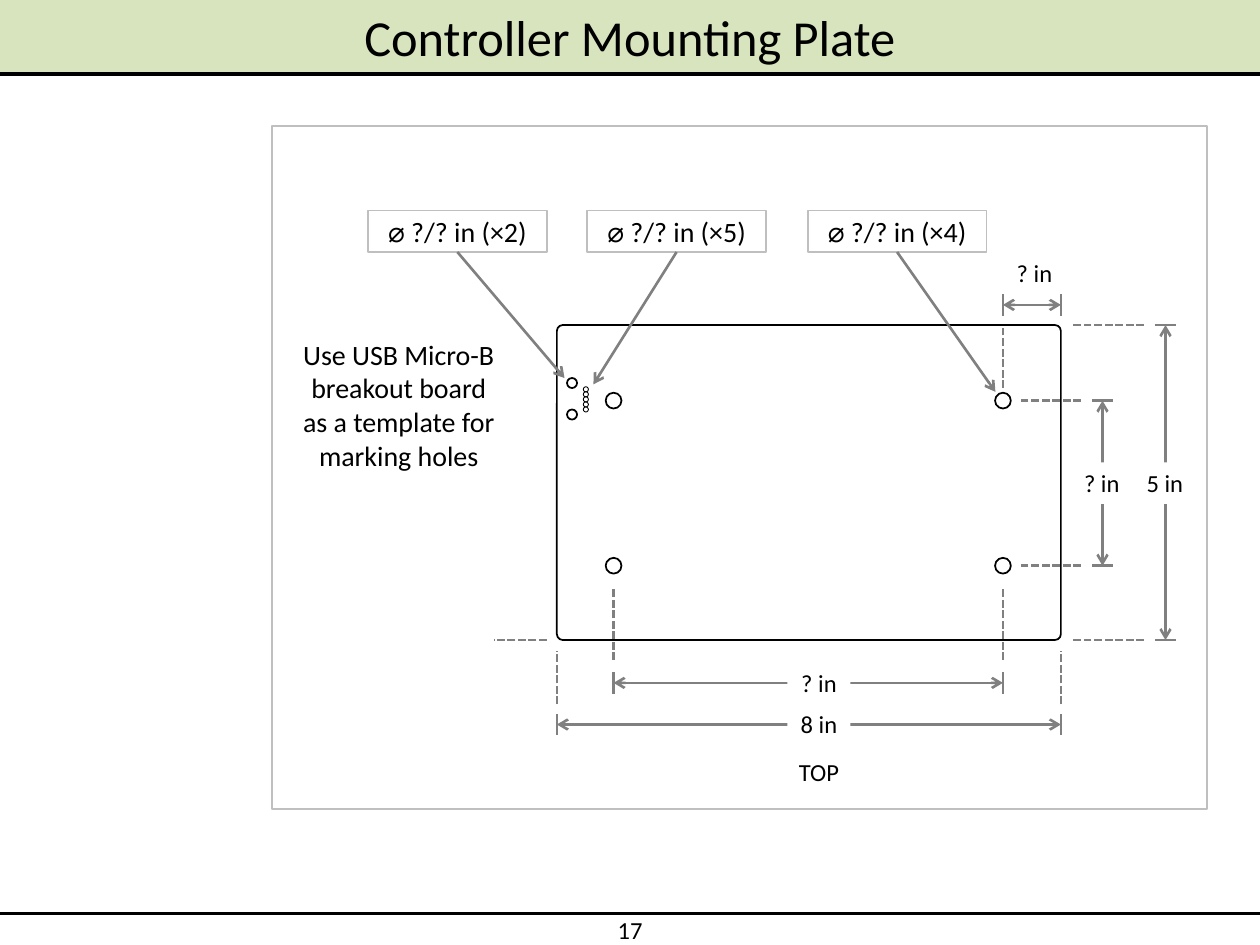
"""Build the Controller Mounting Plate dimension drawing slide."""
from lxml import etree
from pptx import Presentation, util as u
from pptx.dml.color import RGBColor
from pptx.enum import dml, shapes, text
from pptx.oxml import ns

THEME = {
    "font": "Calibri",
    "ink": RGBColor.from_string("000000"),
    "paper": RGBColor.from_string("FFFFFF"),
    "border": RGBColor.from_string("BFBFBF"),
    "dimension": RGBColor.from_string("808080"),
    "banner": RGBColor.from_string("D7E4BD"),
    "title": 28.8,
    "note": 16,
    "label": 14,
}


def add_label(words, box, size=THEME["label"], fill=None, outline=None,
              wrap=False, margin=0, shape=None):
    if shape is None:
        shape = slide.shapes.add_textbox(0, 0, 0, 0)
    shape.left, shape.top, shape.width, shape.height = map(u.Inches, box)
    if fill is not None:
        shape.fill.solid()
        shape.fill.fore_color.rgb = fill
    if outline is not None:
        shape.line.color.rgb = outline
        shape.line.width = u.Pt(1)
    frame = shape.text_frame
    frame.text = words
    frame.auto_size = text.MSO_AUTO_SIZE.NONE
    frame.word_wrap = wrap
    frame.vertical_anchor = text.MSO_ANCHOR.MIDDLE
    frame.margin_left = frame.margin_right = u.Inches(margin)
    frame.margin_top = frame.margin_bottom = u.Inches(margin / 2)
    for paragraph in frame.paragraphs:
        paragraph.alignment = text.PP_ALIGN.CENTER
        paragraph.font.name = THEME["font"]
        paragraph.font.size = u.Pt(size)
        paragraph.font.color.rgb = THEME["ink"]
    return shape


def add_line(start, end, color=THEME["dimension"], width=1.5, dashed=False, arrows=()):
    connector = slide.shapes.add_connector(
        shapes.MSO_CONNECTOR.STRAIGHT, *map(u.Inches, (*start, *end)))
    connector.line.color.rgb = color
    connector.line.width = u.Pt(width)
    if dashed:
        connector.line.dash_style = dml.MSO_LINE.SQUARE_DOT
    properties = connector._element.spPr
    outline = properties.find(ns.qn("a:ln"))
    for arrow in arrows:
        etree.SubElement(outline, ns.qn(f"a:{arrow}")).set("type", "arrow")
    etree.SubElement(properties, ns.qn("a:effectLst"))
    return connector


presentation = Presentation()
presentation.slide_width, presentation.slide_height = u.Inches(10), u.Inches(7.5)
slide = presentation.slides.add_slide(presentation.slide_layouts[5])

add_label("Controller Mounting Plate", (0, 0, 10, 0.58), size=THEME["title"],
          fill=THEME["banner"], wrap=True, margin=0.1, shape=slide.shapes.title)
add_label("17", (4.64, 7.26, 0.72, 0.24))
for y, width in ((7.25, 2), (0.59, 2.25)):
    add_line((0, y), (10, y), color=THEME["ink"], width=width)

panel = slide.shapes.add_shape(
    shapes.MSO_SHAPE.RECTANGLE, *map(u.Inches, (2.16, 1, 7.42, 5.42)))
panel.shadow.inherit = False
panel.fill.solid()
panel.fill.fore_color.rgb = THEME["paper"]
panel.line.color.rgb = THEME["border"]
panel.line.width = u.Pt(1)

left, right, top, bottom = 4.42, 8.42, 2.58, 5.08
hole_columns, hole_rows = (4.87, 7.96), (3.18, 4.49)
plate = slide.shapes.add_shape(
    shapes.MSO_SHAPE.ROUNDED_RECTANGLE,
    *map(u.Inches, (left, top, right - left, bottom - top)))
plate.adjustments[0] = 0.019
plate.shadow.inherit = False
plate.fill.solid()
plate.fill.fore_color.rgb = THEME["paper"]
plate_color = plate._element.spPr.find(ns.qn("a:solidFill"))[0]
etree.SubElement(plate_color, ns.qn("a:alpha")).set("val", "75000")
plate.line.color.rgb = THEME["ink"]
plate.line.width = u.Pt(1)

holes = [(x, y, 0.125, 1) for x in hole_columns for y in hole_rows]
holes += [(4.54, y, 0.08, 1) for y in (3.04, 3.29)]
holes += [(4.65, 3.09 + 0.04 * pin, 0.04, 0.5) for pin in range(5)]
for x, y, diameter, width in holes:
    hole = slide.shapes.add_shape(
        shapes.MSO_SHAPE.OVAL,
        *map(u.Inches, (x - diameter / 2, y - diameter / 2, diameter, diameter)))
    hole.shadow.inherit = False
    hole.fill.background()
    hole.line.color.rgb = THEME["ink"]
    hole.line.width = u.Pt(width)

callouts = ((2.92, 2, (4.48, 3)), (4.66, 5, (4.71, 3.05)), (6.41, 4, (7.9, 3.11)))
for x, count, target in callouts:
    callout = add_label(f"⌀ ?/? in (×{count})", (x, 1.67, 1.42, 0.33), size=THEME["note"],
                        fill=THEME["paper"], outline=THEME["border"], wrap=True)
    leader = add_line((x + 0.71, 2), target, arrows=("tailEnd",))
    leader.begin_connect(callout, 2)

both_ends = ("headEnd", "tailEnd")
tick = 0.085
for start, end, y in ((left, right, 5.75), (*hole_columns, 5.42), (hole_columns[1], right, 2.42)):
    add_line((start, y), (end, y), arrows=both_ends)
    for x in (start, end):
        add_line((x, y + tick), (x, y - tick))
for start, end, x in ((top, bottom, 9.25), (*hole_rows, 8.75)):
    add_line((x, start), (x, end), arrows=both_ends)
    for y in (start, end):
        add_line((x + tick, y), (x - tick, y))

extensions = [((x, 5.24), (x, 4.66)) for x in hole_columns]
extensions += [((x, 5.59), (x, 5.17)) for x in (left, right)]
extensions += [((8.58, y), (8.08, y)) for y in hole_rows]
extensions += [((9.08, y), (8.5, y)) for y in (top, bottom)]
extensions += [((7.96, 3.08), (7.96, 2.58)), ((4.34, bottom), (3.92, bottom))]
for start, end in extensions:
    add_line(start, end, dashed=True)

dimension_labels = (
    ("8 in", (6.25, 5.66, 0.5, 0.17)),
    ("5 in", (9.08, 3.67, 0.33, 0.33)),
    ("? in", (6.25, 5.33, 0.5, 0.17)),
    ("? in", (8.58, 3.67, 0.33, 0.33)),
    ("? in", (8, 2.08, 0.42, 0.17)),
)
for words, box in dimension_labels:
    add_label(words, box, fill=THEME["paper"])
add_label("TOP", (5.5, 6, 2, 0.25))
add_label("Use USB Micro-B\nbreakout board\nas a template for\nmarking holes",
          (2.33, 2.67, 1.67, 1.08), size=THEME["note"])

presentation.save("out.pptx")
